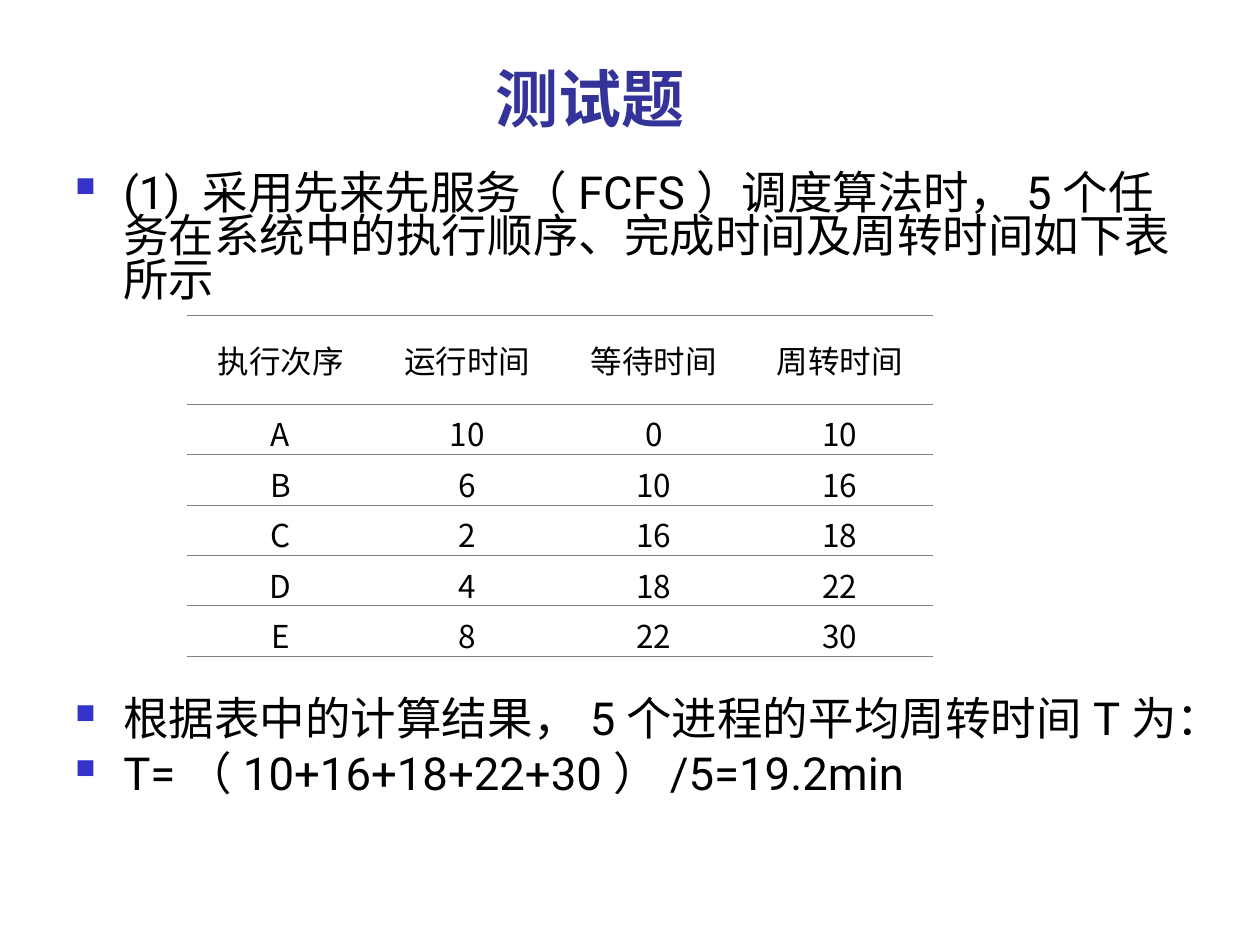
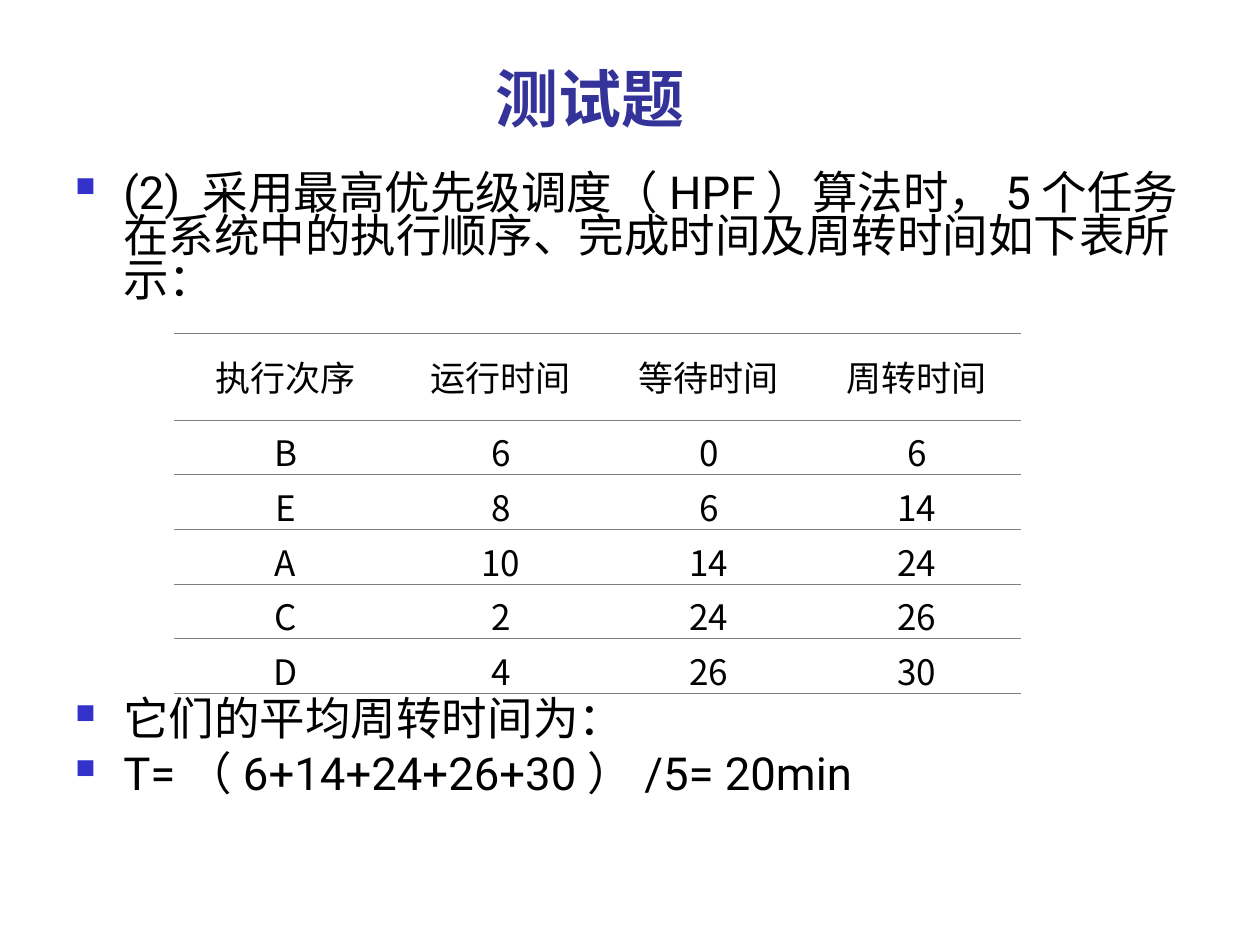
"""Two test slides on task scheduling, each with a result table between bullets."""
from lxml import etree
from pptx import Presentation
from pptx.dml.color import RGBColor
from pptx.enum.text import MSO_ANCHOR, MSO_AUTO_SIZE, PP_ALIGN
from pptx.oxml.ns import qn
from pptx.util import Emu, Pt

CENTER = PP_ALIGN.CENTER
MIDDLE, BOTTOM = MSO_ANCHOR.MIDDLE, MSO_ANCHOR.BOTTOM
NO_FIT = MSO_AUTO_SIZE.NONE

COLORS = {"title": "333399", "bullet": "3333CC", "text": "000000", "rule": "808080"}
BODY_FONT, HEAD_FONT, CJK_FONT = "Roboto", "Calibri", "Noto Sans CJK SC"
PX = 914400 // 126

TITLE = "测试题"
TITLE_BOX = (154, 35, 873, 106)
BODY_BOX = (63, 168, 1134, 680)
INDENT = 48
SPACE_BEFORE = 6.5
TABLE_GAP = 226
HEADER = ("执行次序", "运行时间", "等待时间", "周转时间")

SLIDES = [
    {
        "intro": "(1) 采用先来先服务（FCFS）调度算法时，5个任务在系统中的执行顺序、完成时间及周转时间如下表所示",
        "results": ["根据表中的计算结果，5个进程的平均周转时间T为：", "T=（10+16+18+22+30）/5=19.2min"],
        "rows": [("A", 10, 0, 10), ("B", 6, 10, 16), ("C", 2, 16, 18), ("D", 4, 18, 22), ("E", 8, 22, 30)],
        "at": (187, 315), "cols": (187, 187, 186, 186), "heights": (89, 45), "size": 18,
    },
    {
        "intro": "(2) 采用最高优先级调度（HPF）算法时，5个任务在系统中的执行顺序、完成时间及周转时间如下表所示：",
        "results": ["它们的平均周转时间为：", "T=（6+14+24+26+30）/5= 20min"],
        "rows": [("B", 6, 0, 6), ("E", 8, 6, 14), ("A", 10, 14, 24), ("C", 2, 24, 26), ("D", 4, 26, 30)],
        "at": (174, 333), "cols": (223, 208, 208, 208), "heights": (87, 43), "size": 20,
    },
]


def px(*values):
    return [Emu(v * PX) for v in values]


def add(parent, tag, **attrs):
    return etree.SubElement(parent, qn(tag), attrs)


def style(p, size, font, color, bold=False):
    for r in p.runs:
        r.font.size, r.font.name, r.font.bold = Pt(size), font, bold
        r.font.color.rgb = RGBColor.from_string(COLORS[color])
        add(r.font._element, "a:ea", typeface=CJK_FONT)


def add_title(slide):
    sp = slide.shapes.title
    sp.left, sp.top, sp.width, sp.height = px(*TITLE_BOX)
    tf = sp.text_frame
    tf.text = TITLE
    tf.auto_size, tf.vertical_anchor = NO_FIT, BOTTOM
    tf.paragraphs[0].alignment = CENTER
    style(tf.paragraphs[0], 36, BODY_FONT, "title", True)


def add_bullets(slide, intro, results):
    tf = slide.shapes.add_textbox(*px(*BODY_BOX)).text_frame
    tf.word_wrap = True
    tf.text = "\n".join([intro, *results])
    for i, p in enumerate(tf.paragraphs):
        p.line_spacing = 0.8
        p.space_before = Pt(TABLE_GAP if i == 1 else SPACE_BEFORE)
        pPr = p._p.get_or_add_pPr()
        pPr.set("marL", str(INDENT * PX))
        pPr.set("indent", str(-INDENT * PX))
        add(add(pPr, "a:buClr"), "a:srgbClr", val=COLORS["bullet"])
        add(pPr, "a:buSzPct", val="60000")
        add(pPr, "a:buChar", char="■")
        style(p, 26, BODY_FONT, "text")


def rule_cell(cell):
    tcPr = cell._tc.get_or_add_tcPr()
    for side in "LRTB":
        ln = add(tcPr, f"a:ln{side}", w=str(Pt(0.45)))
        if side in "LR":
            add(ln, "a:noFill")
        else:
            add(add(ln, "a:solidFill"), "a:srgbClr", val=COLORS["rule"])
    cell.fill.background()


def add_result_table(slide, rows, at, cols, heights, size):
    grid = [HEADER, *rows]
    row_heights = [heights[0]] + [heights[1]] * len(rows)
    box = px(*at, sum(cols), sum(row_heights))
    table = slide.shapes.add_table(len(grid), len(cols), *box).table
    table.first_row = table.horz_banding = False
    for col, width in zip(table.columns, px(*cols)):
        col.width = width
    for i, (row, height) in enumerate(zip(table.rows, px(*row_heights))):
        row.height = height
        for cell, value in zip(row.cells, grid[i]):
            cell.text = str(value)
            cell.vertical_anchor = MIDDLE
            rule_cell(cell)
            p = cell.text_frame.paragraphs[0]
            p.alignment, p.space_before, p.space_after = CENTER, Pt(4), Pt(3)
            style(p, size, CJK_FONT if i else HEAD_FONT, "text")


prs = Presentation()
prs.slide_width, prs.slide_height = px(1260, 945)
for content in SLIDES:
    slide = prs.slides.add_slide(prs.slide_layouts[5])
    add_title(slide)
    add_bullets(slide, content["intro"], content["results"])
    add_result_table(slide, *(content[k] for k in ("rows", "at", "cols", "heights", "size")))
prs.save("out.pptx")
